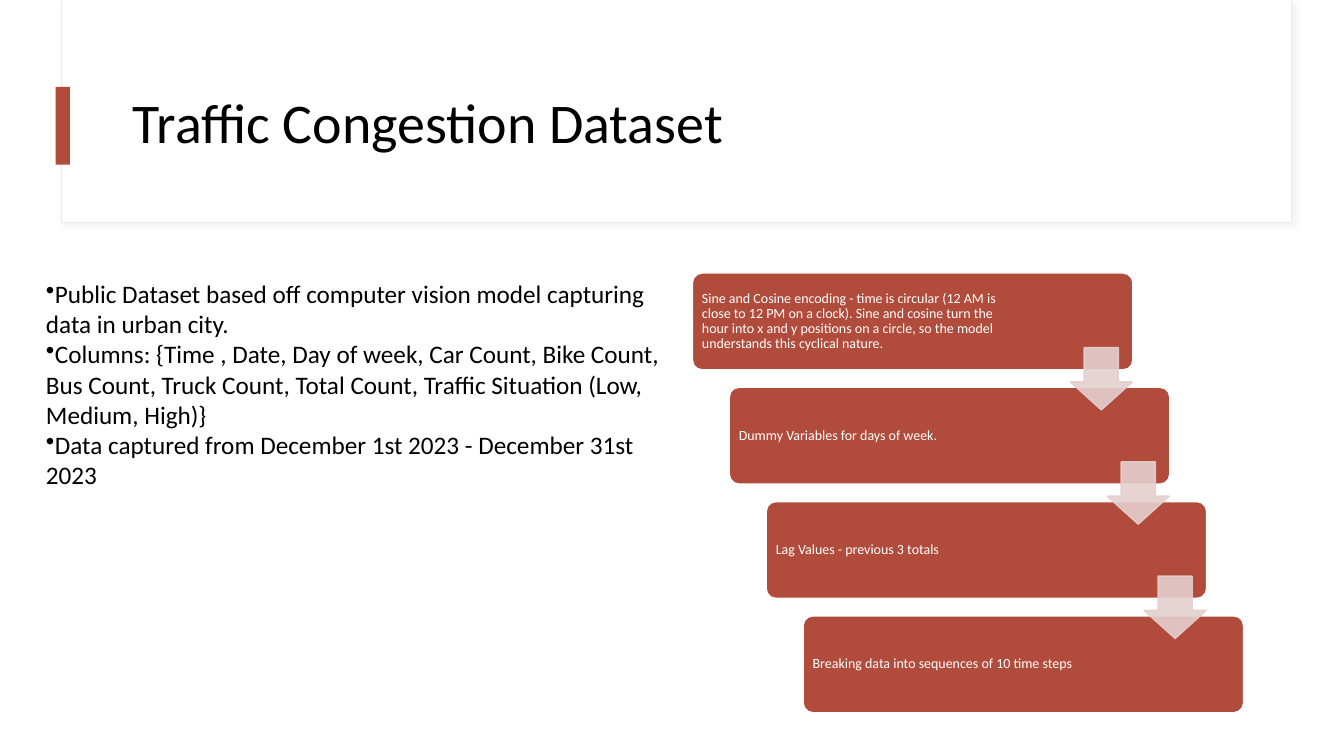
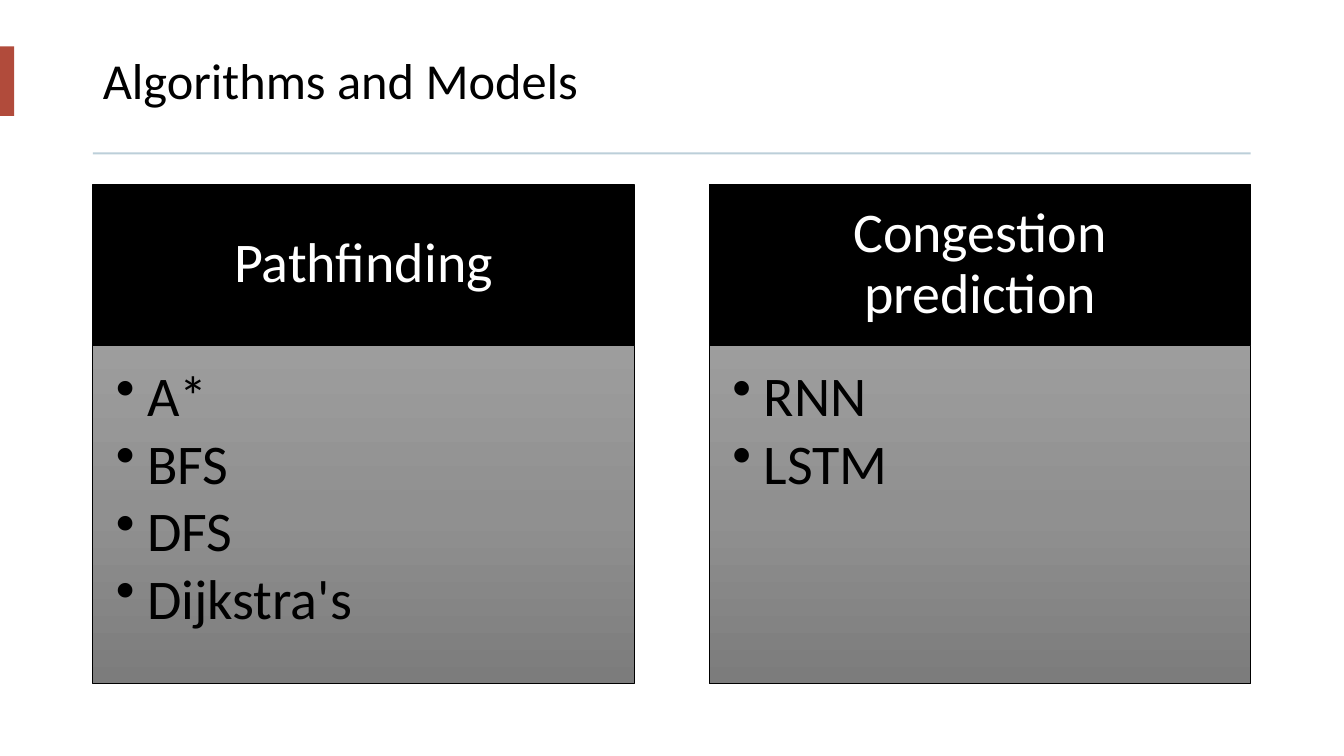
from copy import deepcopy

from lxml import etree
from pptx import Presentation
from pptx.dml.color import RGBColor
from pptx.enum.shapes import MSO_SHAPE as Shape
from pptx.enum.text import MSO_ANCHOR as Anchor, MSO_AUTO_SIZE as AutoSize, PP_ALIGN as Align
from pptx.oxml.ns import qn
from pptx.util import Cm, Pt

FONT = "Calibri"
COLORS = {
    "accent": "B14B3B",
    "arrow": "E4D0CE",
    "frame": "E4ECF0",
    "shadow": "D9D9D9",
    "rule": "BCCFD9",
    "black": "000000",
    "white": "FFFFFF",
}
PANEL_GRADIENT = [(0, "9D9D9D"), (0.5, "909090"), (1, "7C7C7C")]


def add_box(slide, kind, place, fill, line=None, line_width=1):
    """Add a flat shape; place is left, top, width, height in cm."""
    shape = slide.shapes.add_shape(kind, *map(Cm, place))
    shape.shadow.inherit = False
    shape.fill.solid()
    shape.fill.fore_color.rgb = RGBColor.from_string(COLORS[fill])
    if line:
        shape.line.color.rgb = RGBColor.from_string(COLORS[line])
        shape.line.width = Pt(line_width)
    else:
        shape.line.fill.background()
    return shape


def write_lines(shape, lines, size, color, margins, anchor=Anchor.MIDDLE,
                align=Align.LEFT, spacing=0.9, after=0, bullet_indent=None):
    """Fill a shape with paragraphs; margins are left, top, right, bottom in cm."""
    frame = shape.text_frame
    frame.word_wrap = True
    frame.auto_size = AutoSize.NONE
    frame.vertical_anchor = anchor
    (frame.margin_left, frame.margin_top,
     frame.margin_right, frame.margin_bottom) = map(Cm, margins)
    for index, line in enumerate(lines):
        paragraph = frame.add_paragraph() if index else frame.paragraphs[0]
        paragraph.text = line
        paragraph.alignment = align
        paragraph.line_spacing = spacing
        paragraph.space_after = Pt(after)
        paragraph.font.name = FONT
        paragraph.font.size = Pt(size)
        paragraph.font.color.rgb = RGBColor.from_string(COLORS[color])
        if bullet_indent is not None:
            properties = paragraph._p.get_or_add_pPr()
            properties.set("marL", str(Cm(bullet_indent)))
            properties.set("indent", str(-Cm(bullet_indent)))
            bullet = etree.Element(qn("a:buChar"), char="•")
            properties.find(qn("a:spcAft")).addnext(bullet)


presentation = Presentation()
presentation.slide_width = Cm(33.87)
presentation.slide_height = Cm(19.05)

# Titles with their accent bars
headings = [
    ("Traffic Congestion Dataset", 40, (3.1, 1.52, 28.24, 3.28), (1.4, 2.19, 0.36, 1.96)),
    ("Algorithms and Models", 36, (2.34, 0.69, 29.18, 2.79), (0, 1.17, 0.36, 1.75)),
]
slides = []
for text, size, title_place, bar_place in headings:
    slide = presentation.slides.add_slide(presentation.slide_layouts[5])
    title = slide.shapes.title
    title.left, title.top, title.width, title.height = map(Cm, title_place)
    write_lines(title, [text], size, "black", (0.25, 0.13, 0.25, 0.13))
    bar = add_box(slide, Shape.RECTANGLE, bar_place, "accent")
    title.element.addprevious(bar.element)
    slides.append(slide)
dataset_slide, models_slide = slides

# Slide 1: title frame with a soft shadow, behind the title and bar
frame = add_box(dataset_slide, Shape.RECTANGLE, (1.55, 0, 31.01, 5.61), "white", "frame", 0.75)
effects = frame.element.spPr.find(qn("a:effectLst"))
shadow = etree.SubElement(effects, qn("a:outerShdw"), blurRad=str(Pt(4)),
                          dist=str(Pt(3)), dir="2700000", algn="tl", rotWithShape="0")
shadow_color = etree.SubElement(shadow, qn("a:srgbClr"), val=COLORS["shadow"])
etree.SubElement(shadow_color, qn("a:alpha"), val="30000")
dataset_slide.shapes[0].element.addprevious(frame.element)

# Slide 1: description of the dataset
description = dataset_slide.shapes.add_textbox(Cm(0.91), Cm(6.88), Cm(16.03), Cm(6.4))
write_lines(description, [
    "Public Dataset based off computer vision model capturing data in urban city.",
    "Columns: {Time , Date, Day of week, Car Count, Bike Count, Bus Count, "
    "Truck Count, Total Count, Traffic Situation (Low, Medium, High)}",
    "Data captured from December 1st 2023 - December 31st 2023",
], 18, "black", (0.25, 0.13, 0.25, 0.13), Anchor.TOP, spacing=1.0, bullet_indent=0)

# Slide 1: staircase of preparation steps
steps = [
    "Sine and Cosine encoding - time is circular (12 AM is close to 12 PM on a clock). "
    "Sine and cosine turn the hour into x and y positions on a circle, "
    "so the model understands this cyclical nature.",
    "Dummy Variables for days of week.",
    "Lag Values - previous 3 totals",
    "Breaking data into sequences of 10 time steps",
]
corners = [(17.45 + 0.93 * index, 6.88 + 2.88 * index) for index in range(len(steps))]
for (left, top), text in zip(corners, steps):
    step = add_box(dataset_slide, Shape.ROUNDED_RECTANGLE, (left, top, 11.1, 2.44),
                   "accent", "white")
    step.adjustments[0] = 0.1
    write_lines(step, [text], 10, "white", (0.17, 0.1, 2.85, 0.1))

# Slide 1: translucent arrows from each step to the next
for left, top in corners[:-1]:
    arrow = add_box(dataset_slide, Shape.DOWN_ARROW, (left + 9.52, top + 1.88, 1.57, 1.57),
                    "arrow", "arrow")
    arrow.adjustments[0] = 0.55
    arrow.adjustments[1] = 0.45
    for color in arrow.element.spPr.iter(qn("a:srgbClr")):
        etree.SubElement(color, qn("a:alpha"), val="90000")

# Slide 2: rule under the title
add_box(models_slide, Shape.RECTANGLE, (2.34, 3.84, 29.18, 0.05), "rule")

# Slide 2: one panel per group of algorithms
groups = [
    ("Pathfinding", ["A*", "BFS", "DFS", "Dijkstra's"]),
    ("Congestion prediction", ["RNN", "LSTM"]),
]
for index, (heading, algorithms) in enumerate(groups):
    left = 2.34 + 15.54 * index
    header = add_box(models_slide, Shape.RECTANGLE, (left, 4.65, 13.64, 4.05), "black", "black")
    write_lines(header, [heading], 40, "white", (0.79, 0.46, 0.79, 0.46), align=Align.CENTER)

    body = add_box(models_slide, Shape.RECTANGLE, (left, 8.7, 13.64, 8.53), "white", "black", 0.5)
    body.fill.gradient()
    body.fill.gradient_angle = 270
    stop_list = body.element.spPr.find(qn("a:gradFill")).find(qn("a:gsLst"))
    stop_list.insert(1, deepcopy(stop_list[0]))
    for stop, (position, shade) in zip(body.fill.gradient_stops, PANEL_GRADIENT):
        stop.position = position
        stop.color.rgb = RGBColor.from_string(shade)
    write_lines(body, algorithms, 40, "black", (0.58, 0.58, 0.79, 0.89), Anchor.TOP,
                after=5, bullet_indent=0.79)

presentation.save("out.pptx")
